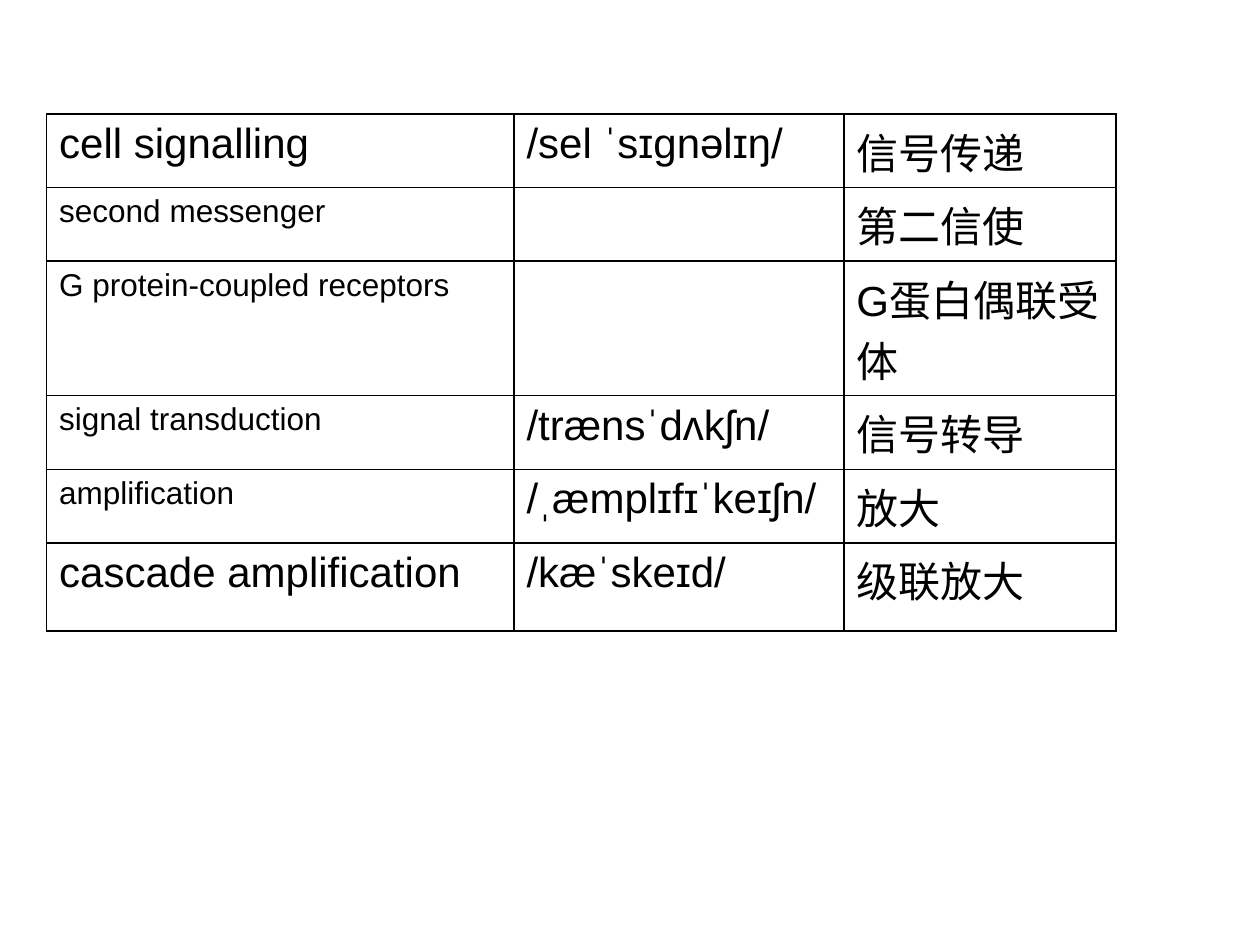
import pptx
import pptx.util
import pptx.dml.color
import pptx.oxml.ns
import lxml.etree

Cm = pptx.util.Cm
Pt = pptx.util.Pt

COLORS = {"text": "000000", "line": "000000", "page": "FFFFFF"}
BIG, SMALL = 24, 18

# Term, term size, sound, meaning
TERMS = [
    ("cell signalling", BIG, "/sel ˈsɪɡnəlɪŋ/", "信号传递"),
    ("second messenger", SMALL, "", "第二信使"),
    ("G protein-coupled receptors", SMALL, "", "G蛋白偶联受体"),
    ("signal transduction", SMALL, "/trænsˈdʌkʃn/", "信号转导"),
    ("amplification", SMALL, "/ˌæmplɪfɪˈkeɪʃn/", "放大"),
    ("cascade amplification", BIG, "/kæˈskeɪd/", "级联放大"),
]
WIDTHS = [9.42, 6.65, 5.49]
HEIGHTS = [1] + [1.07] * 4 + [1.78]


def rgb(name):
    return pptx.dml.color.RGBColor.from_string(COLORS[name])


def write(frame, text, size=BIG, color="text", font="Arial"):
    para = frame.paragraphs[0]
    para.space_before = Pt(0)
    run = para.add_run()
    run.text = text
    run.font.name = font
    run.font.size = Pt(size)
    run.font.color.rgb = rgb(color)


class Deck:
    def __init__(self, width, height):
        self.file = pptx.Presentation()
        self.file.slide_width = Cm(width)
        self.file.slide_height = Cm(height)
        self.slide = self.file.slides.add_slide(self.file.slide_layouts[6])
        fill = self.slide.background.fill
        fill.solid()
        fill.fore_color.rgb = rgb("page")

    def frame(self, cell, width=1):
        """Draw a line on all four sides of a cell."""
        qn = pptx.oxml.ns.qn
        props = cell._tc.get_or_add_tcPr()
        for side in "LRTB":
            line = lxml.etree.SubElement(props, qn(f"a:ln{side}"), w=str(Pt(width)))
            fill = lxml.etree.SubElement(line, qn("a:solidFill"))
            lxml.etree.SubElement(fill, qn("a:srgbClr"), val=COLORS["line"])

    def table(self, left, top, widths, heights, rows):
        table = self.slide.shapes.add_table(
            len(heights), len(widths), Cm(left), Cm(top),
            Cm(sum(widths)), Cm(sum(heights))).table
        table.first_row = False
        table.horz_banding = False
        for col, width in zip(table.columns, widths):
            col.width = Cm(width)
        for row, height, items in zip(table.rows, heights, rows):
            row.height = Cm(height)
            for cell, (text, size) in zip(row.cells, items):
                self.frame(cell)
                cell.fill.background()
                if text:
                    write(cell.text_frame, text, size=size)


def main():
    deck = Deck(25.4, 19.05)
    # Word list
    rows = [[(term, size), (sound, BIG), (sense, BIG)]
            for term, size, sound, sense in TERMS]
    deck.table(0.94, 2.3, WIDTHS, HEIGHTS, rows)
    deck.file.save("out.pptx")


if __name__ == "__main__":
    main()
